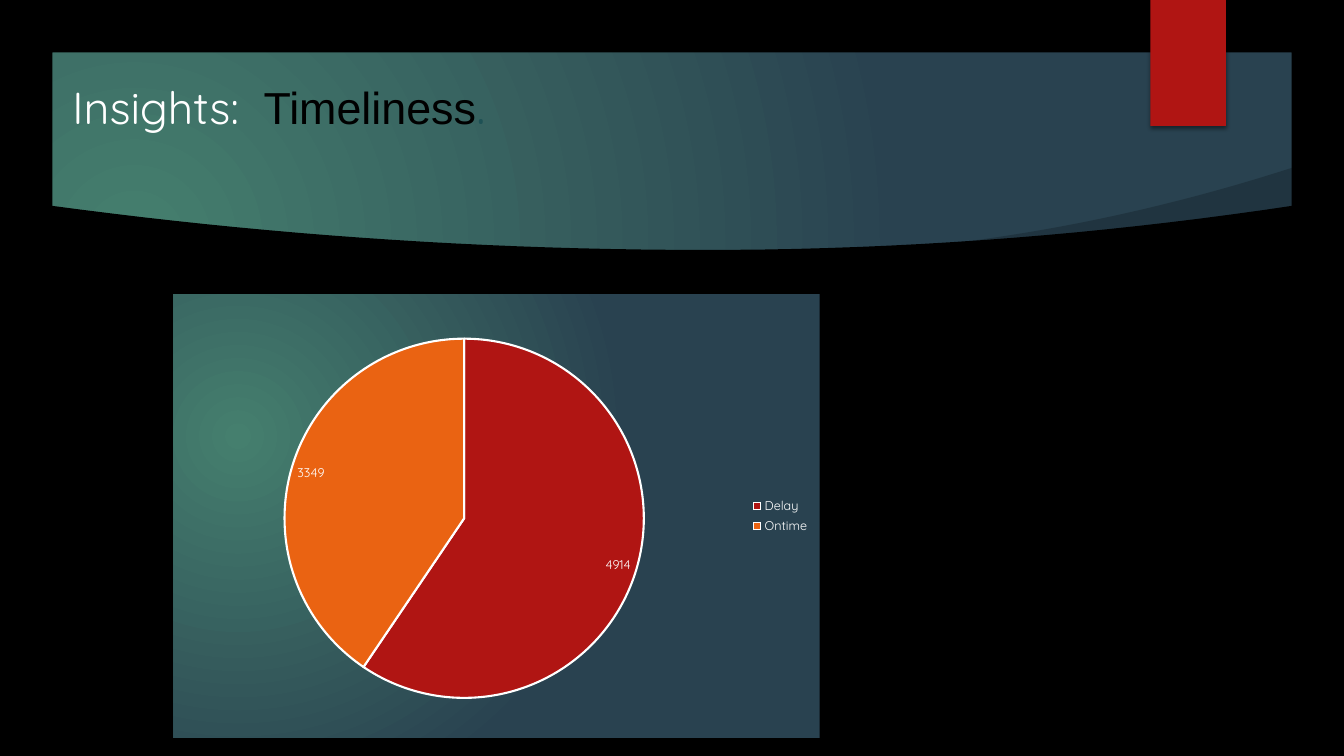
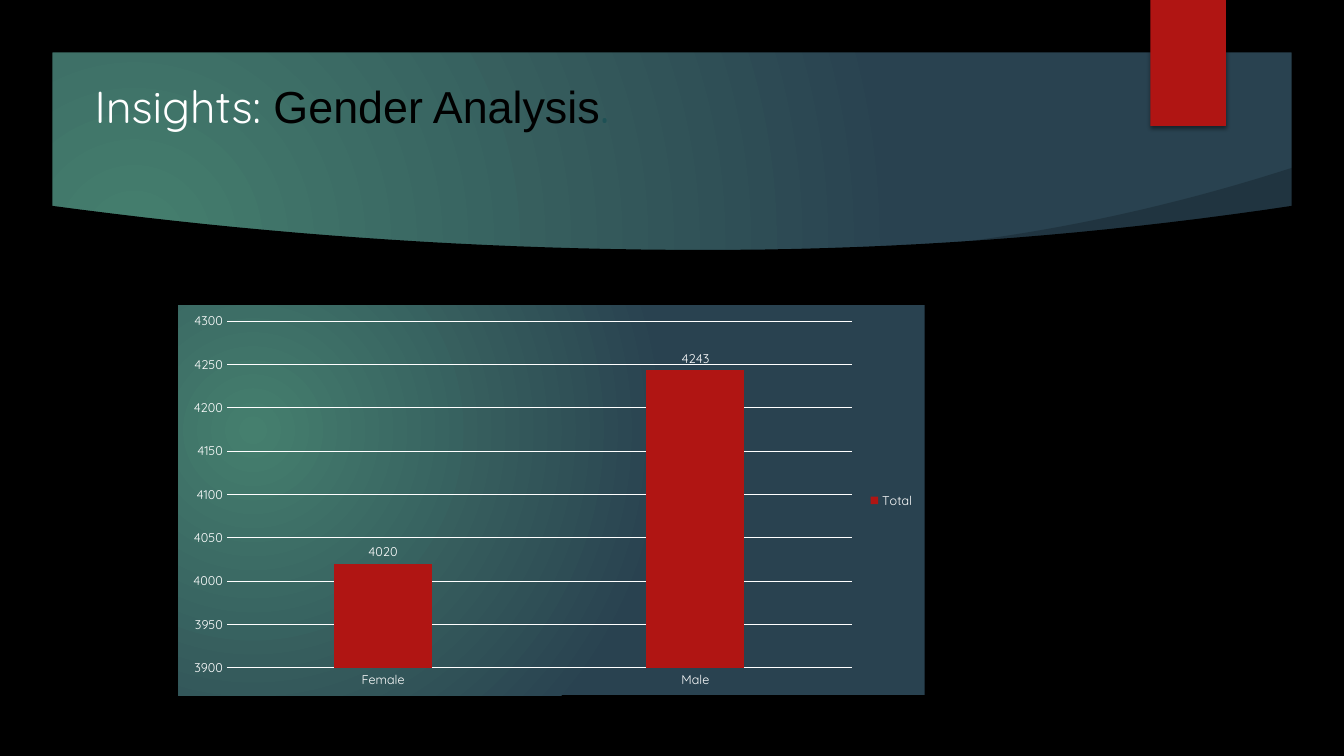
from pptx import Presentation
from pptx.chart.data import CategoryChartData
from pptx.dml.color import RGBColor
from pptx.enum.chart import XL_CHART_TYPE, XL_LABEL_POSITION, XL_LEGEND_POSITION, XL_TICK_MARK
from pptx.enum.shapes import MSO_SHAPE
from pptx.enum.text import MSO_ANCHOR
from pptx.oxml import parse_xml
from pptx.oxml.ns import nsdecls, qn
from pptx.util import Inches, Pt

WHITE = RGBColor(0xFF, 0xFF, 0xFF)
BLACK = RGBColor(0x00, 0x00, 0x00)
TEAL = RGBColor(0x1E, 0x51, 0x55)
RED = RGBColor(0xB0, 0x15, 0x13)
ORANGE = RGBColor(0xEA, 0x63, 0x12)
GLOW = RGBColor(0x45, 0x7F, 0x6E)
SLATE = RGBColor(0x29, 0x42, 0x50)
FONT = "Quicksand"
TITLE_FONT = "Arial"

WIDTH, HEIGHT = 13.33, 7.5
MARGIN = 0.52
STEPS = 40

GRADIENT = f"""<a:gradFill {nsdecls('a')} rotWithShape="1"><a:gsLst>
<a:gs pos="0"><a:srgbClr val="{GLOW}"/></a:gs><a:gs pos="100000"><a:srgbClr val="{SLATE}"/></a:gs>
</a:gsLst><a:path path="circle"><a:fillToRect l="45000" t="65000" r="125000" b="100000"/></a:path></a:gradFill>"""
CHART_FILL = f"<c:spPr {nsdecls('c', 'a')}>{GRADIENT}<a:ln><a:noFill/></a:ln></c:spPr>"
BOOKMARK_SHADOW = f"""<a:effectLst {nsdecls('a')}>
<a:outerShdw blurRad="{Pt(3)}" dist="{Pt(2)}" dir="5400000" algn="ctr" rotWithShape="0">
<a:srgbClr val="{BLACK}"><a:alpha val="45000"/></a:srgbClr></a:outerShdw></a:effectLst>"""
PIE_LAYOUT = f"""<c:layout {nsdecls('c')}><c:manualLayout><c:layoutTarget val="inner"/>
<c:xMode val="edge"/><c:yMode val="edge"/><c:x val="0.08"/><c:y val="0.1"/>
<c:w val="0.74"/><c:h val="0.81"/></c:manualLayout></c:layout>"""

# The header's lower edge sags to its lowest point; the wedge rises to the right.
LEFT, LOWEST, RIGHT = 0.5, 7, 12.83
sag = []
for step in range(STEPS + 1):
    x = LEFT + (RIGHT - LEFT) * step / STEPS
    half = LOWEST - LEFT if x < LOWEST else RIGHT - LOWEST
    sag.append((x, 2.48 - 0.44 * ((x - LOWEST) / half) ** 2))
WEDGE_LEFT = 9.3
rise = []
for step in range(STEPS + 1):
    share = step / STEPS
    rise.append((WEDGE_LEFT + (RIGHT - WEDGE_LEFT) * share, 2.43 - 0.4 * share - 0.37 * share ** 2))
BODY = sag + [(RIGHT, 7), (LEFT, 7)]
WEDGE = rise + [(RIGHT, 2.45), (WEDGE_LEFT, 2.45)]


def paint(shape, color):
    shape.shadow.inherit = False
    shape.fill.solid()
    shape.fill.fore_color.rgb = color
    shape.line.fill.background()


def add_chart(slide, kind, box, series_name, categories, values):
    """Add a chart with the look both slides share and return it."""
    data = CategoryChartData(number_format="0")
    data.categories = categories
    data.add_series(series_name, values)
    chart = slide.shapes.add_chart(kind, *map(Inches, box), data).chart
    chart.has_title = False
    chart.font.name, chart.font.size, chart.font.color.rgb = FONT, Pt(9), WHITE
    chart.has_legend = True
    chart.legend.position = XL_LEGEND_POSITION.RIGHT
    chart.legend.include_in_layout = False
    chart.element.find(qn("c:chart")).addnext(parse_xml(CHART_FILL))
    plot = chart.plots[0]
    plot.has_data_labels = True
    labels = plot.data_labels
    labels.show_value = True
    labels.number_format, labels.number_format_is_linked = "0", False
    labels.font.name, labels.font.size, labels.font.color.rgb = FONT, Pt(9), WHITE
    return chart


presentation = Presentation()
presentation.slide_width, presentation.slide_height = Inches(WIDTH), Inches(HEIGHT)

titles = [
    ("Insights:  ", "Timeliness", (0.62, 0.62, 12.48, 0.83)),
    ("Insights: ", "Gender Analysis", (0.84, 0.6, 12.26, 0.85)),
]
slides = []
for lead, topic, title_box in titles:
    slide = presentation.slides.add_slide(presentation.slide_layouts[6])
    slides.append(slide)
    slide.background.fill.solid()
    background = slide.element.find(".//" + qn("p:bgPr"))
    background.replace(background[0], parse_xml(GRADIENT))

    for outline in (WEDGE, BODY):
        points = [(Inches(x), Inches(y)) for x, y in outline]
        builder = slide.shapes.build_freeform(*points[0])
        builder.add_line_segments(points[1:], close=True)
        shape = builder.convert_to_shape()
        paint(shape, BLACK)
        if outline is WEDGE:
            color = shape.fill._xPr.find(".//" + qn("a:srgbClr"))
            color.append(parse_xml(f'<a:alpha {nsdecls("a")} val="20000"/>'))

    frame = slide.shapes.add_shape(MSO_SHAPE.FRAME, 0, 0, Inches(WIDTH), Inches(HEIGHT))
    frame.adjustments[0] = MARGIN / HEIGHT
    paint(frame, BLACK)

    bookmark = slide.shapes.add_shape(
        MSO_SHAPE.RECTANGLE, Inches(11.41), 0, Inches(0.75), Inches(HEIGHT / 6))
    paint(bookmark, RED)
    properties = bookmark.element.spPr
    properties.replace(properties.find(qn("a:effectLst")), parse_xml(BOOKMARK_SHADOW))

    title = slide.shapes.add_textbox(*map(Inches, title_box)).text_frame
    title.word_wrap = True
    title.vertical_anchor = MSO_ANCHOR.MIDDLE
    paragraph = title.paragraphs[0]
    paragraph.space_before = Pt(10)
    for text, font, size, color in (
        (lead, FONT, 32, WHITE),
        (topic, TITLE_FONT, 32, BLACK),
        (".", FONT, 36, TEAL),
    ):
        run = paragraph.add_run()
        run.text = text
        run.font.name, run.font.size, run.font.color.rgb = font, Pt(size), color

timeliness_slide, gender_slide = slides

pie = add_chart(timeliness_slide, XL_CHART_TYPE.PIE, (1.72, 2.92, 6.41, 4.4),
                "Series 1", ["Delay", "Ontime"], [4914, 3349])
pie.plots[0].vary_by_categories = True
pie.plots[0].data_labels.position = XL_LABEL_POSITION.BEST_FIT
for index, color in enumerate((RED, ORANGE)):
    slice_format = pie.series[0].points[index].format if hasattr(pie, "series") \
        else pie.plots[0].series[0].points[index].format
    slice_format.fill.solid()
    slice_format.fill.fore_color.rgb = color
    slice_format.line.color.rgb = WHITE
    slice_format.line.width = Pt(1.5)
plot_area = pie.element.find(".//" + qn("c:plotArea"))
for layout in plot_area.findall(qn("c:layout")):
    plot_area.remove(layout)
plot_area.insert(0, parse_xml(PIE_LAYOUT))

columns = add_chart(gender_slide, XL_CHART_TYPE.COLUMN_CLUSTERED, (1.77, 3.03, 7.4, 3.87),
                    "Total", ["Female", "Male"], [4020, 4243])
plot = columns.plots[0]
plot.vary_by_categories = False
plot.gap_width, plot.overlap = 219, -27
plot.data_labels.position = XL_LABEL_POSITION.OUTSIDE_END
plot.series[0].format.fill.solid()
plot.series[0].format.fill.fore_color.rgb = RED

value_axis, category_axis = columns.value_axis, columns.category_axis
value_axis.minimum_scale, value_axis.maximum_scale, value_axis.major_unit = 3900, 4300, 50
value_axis.tick_labels.number_format = "0"
value_axis.tick_labels.number_format_is_linked = False
value_axis.format.line.fill.background()
for axis in (value_axis, category_axis):
    axis.major_tick_mark = axis.minor_tick_mark = XL_TICK_MARK.NONE
for line in (value_axis.major_gridlines.format.line, category_axis.format.line):
    line.color.rgb = WHITE
    line.width = Pt(0.75)

presentation.save("out.pptx")
